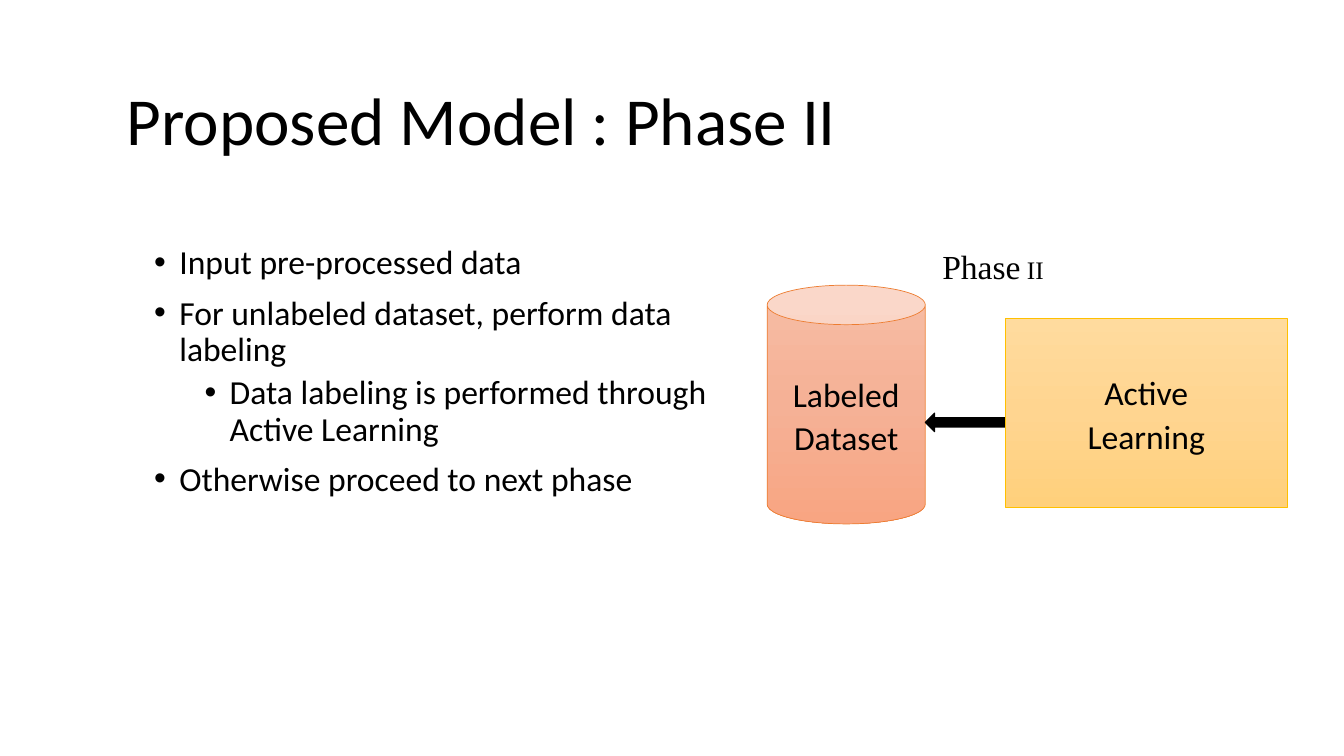
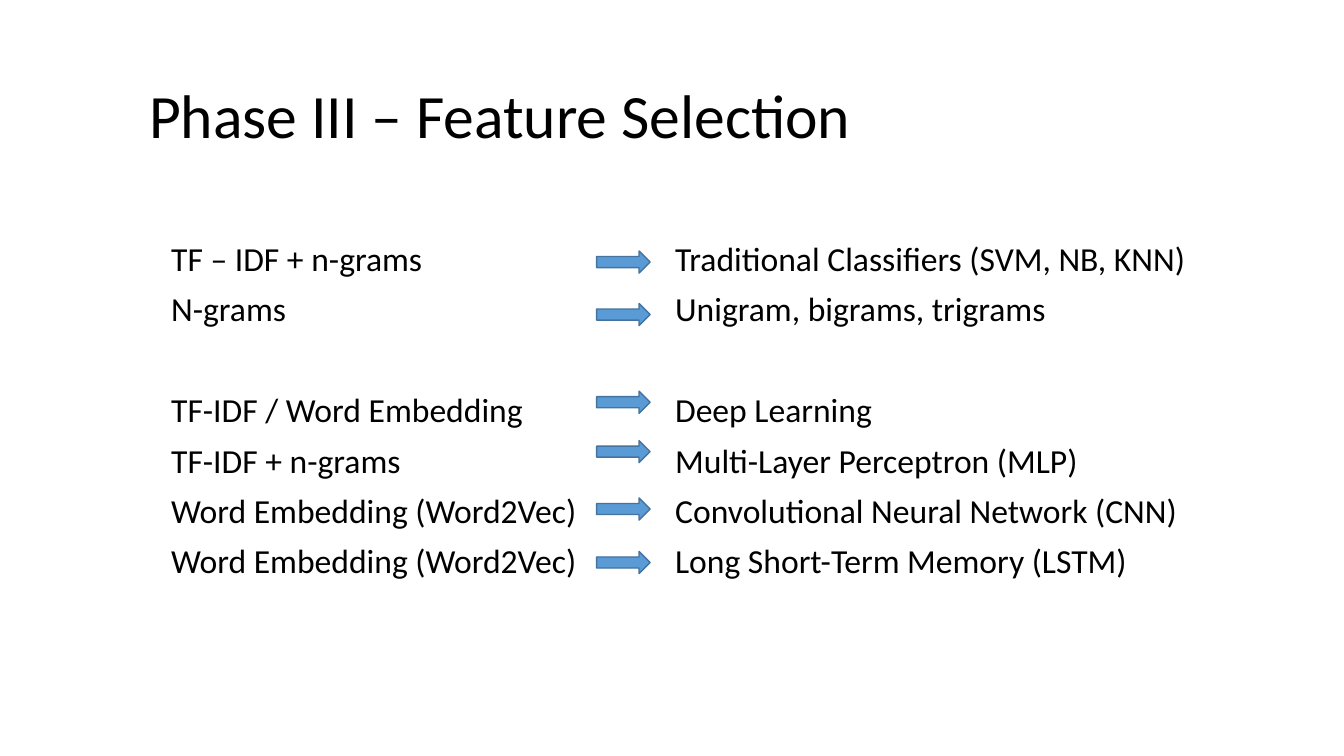
from copy import deepcopy

from lxml import etree
from pptx import Presentation
from pptx.dml.color import RGBColor
from pptx.enum.shapes import MSO_SHAPE
from pptx.enum.text import MSO_ANCHOR, PP_ALIGN
from pptx.oxml.ns import qn
from pptx.util import Pt

CAN, RECTANGLE = MSO_SHAPE.CAN, MSO_SHAPE.RECTANGLE
LEFT_ARROW, RIGHT_ARROW = MSO_SHAPE.LEFT_ARROW, MSO_SHAPE.RIGHT_ARROW
TOP, MIDDLE = MSO_ANCHOR.TOP, MSO_ANCHOR.MIDDLE
CENTER = PP_ALIGN.CENTER

BLACK = "000000"
BLUE, BLUE_EDGE = "5B9BD5", "43739E"
ORANGE_FADE, ORANGE_EDGE = ("F7BDA5", "F5B196", "F8A582"), "ED7D31"
GOLD_FADE, GOLD_EDGE = ("FFDB9E", "FFD590", "FFD07C"), "FFC000"

BODY_SIZE = 24
TITLE_FORMAT = {"line_spacing": 0.9}
BODY_FORMAT = {"line_spacing": 0.9, "space_before": Pt(10)}
SUB_FORMAT = {"line_spacing": 0.9, "space_before": Pt(5)}
GROUP_FORMAT = {"line_spacing": 0.9, "space_before": Pt(46.4)}
NODE_FORMAT = {"line_spacing": 1.07, "space_after": Pt(8), "alignment": CENTER}

BULLETS = [
    (0, "Input pre-processed data"),
    (0, "For unlabeled dataset, perform data labeling"),
    (1, "Data labeling is performed through Active Learning"),
    (0, "Otherwise proceed to next phase"),
]

# Feature, model, top of the arrow within the list, paragraph format
FEATURES = [
    ("TF – IDF + n-grams", "Traditional Classifiers (SVM, NB, KNN)", 9.7, BODY_FORMAT),
    ("N-grams", "Unigram, bigrams, trigrams", 47.2, BODY_FORMAT),
    ("TF-IDF / Word Embedding", "Deep Learning", 109.8, GROUP_FORMAT),
    ("TF-IDF + n-grams", "Multi-Layer Perceptron (MLP)", 145.1, BODY_FORMAT),
    ("Word Embedding (Word2Vec)", "Convolutional Neural Network (CNN)", 186.1, BODY_FORMAT),
    ("Word Embedding (Word2Vec)", "Long Short-Term Memory (LSTM)", 224.3, BODY_FORMAT),
]


def rgb(value):
    return RGBColor.from_string(value)


def apply(target, values):
    for name, value in values.items():
        setattr(target, name, value)


def style_font(span, size=BODY_SIZE, name="Calibri"):
    apply(span.font, {"size": Pt(size), "name": name})
    span.font.color.rgb = rgb(BLACK)


def add_text_box(page, left, top, width, height, wrap=True, anchor=TOP):
    box = page.shapes.add_textbox(Pt(left), Pt(top), Pt(width), Pt(height))
    apply(box.text_frame, {"word_wrap": wrap, "vertical_anchor": anchor})
    return box.text_frame


def write_para(para, text, values, size=BODY_SIZE):
    para.text = text
    apply(para, values)
    for span in para.runs:
        style_font(span, size)


def write_list(frame, entries):
    """Write (text, paragraph format) entries and return the paragraphs."""
    paras = []
    for index, (text, values) in enumerate(entries):
        para = frame.add_paragraph() if index else frame.paragraphs[0]
        write_para(para, text, values)
        paras.append(para)
    return paras


def add_bullet(para, margin, hanging=18):
    props = para._p.get_or_add_pPr()
    props.set("marL", str(Pt(margin)))
    props.set("indent", str(Pt(-hanging)))
    etree.SubElement(props, qn("a:buFont"), typeface="Arial")
    etree.SubElement(props, qn("a:buChar"), char="•")


def add_tab_stop(para, position):
    stops = etree.SubElement(para._p.get_or_add_pPr(), qn("a:tabLst"))
    etree.SubElement(stops, qn("a:tab"), pos=str(Pt(position)), algn="l")


def fade_down(shape, colours):
    """Fill a shape with a three-stop gradient from top to bottom."""
    shape.fill.gradient()
    shape.fill.gradient_angle = 270
    first = shape._element.spPr.find(".//" + qn("a:gs"))
    first.addnext(deepcopy(first))
    for index, (stop, colour) in enumerate(zip(shape.fill.gradient_stops, colours)):
        stop.position = index / 2
        stop.color.rgb = rgb(colour)


def add_outlined(page, kind, left, top, width, height, edge, edge_width):
    shape = page.shapes.add_shape(kind, Pt(left), Pt(top), Pt(width), Pt(height))
    shape.shadow.inherit = False
    shape.line.color.rgb = rgb(edge)
    shape.line.width = Pt(edge_width)
    return shape


def add_arrow(page, kind, left, top, width, height, colour, edge):
    arrow = add_outlined(page, kind, left, top, width, height, edge, 1)
    arrow.fill.solid()
    arrow.fill.fore_color.rgb = rgb(colour)


def add_node(page, kind, left, top, width, height, text, fade, edge):
    node = add_outlined(page, kind, left, top, width, height, edge, 0.5)
    fade_down(node, fade)
    apply(node.text_frame, {"word_wrap": True, "vertical_anchor": MIDDLE})
    write_para(node.text_frame.paragraphs[0], text, NODE_FORMAT)


def add_title(page, left, top, text, size):
    frame = add_text_box(page, left, top, 828, 104.4, anchor=MIDDLE)
    write_para(frame.paragraphs[0], text, TITLE_FORMAT, size)


def add_bullets(page, left, top, width, height):
    frame = add_text_box(page, left, top, width, height)
    entries = [(text, SUB_FORMAT if level else BODY_FORMAT) for level, text in BULLETS]
    for para, (level, _) in zip(write_list(frame, entries), BULLETS):
        para.level = level
        add_bullet(para, 18 + 36 * level)


def add_phase_diagram(page, left, top):
    caption = add_text_box(page, left + 118, top, 91.4, 39.6, wrap=False)
    for text, size in (("Phase", 24), (" II", 18)):
        span = caption.paragraphs[0].add_run()
        span.text = text
        style_font(span, size, "Times New Roman")
    add_node(page, CAN, left, top + 31.6, 113, 170.6,
             "Labeled\nDataset", ORANGE_FADE, ORANGE_EDGE)
    add_arrow(page, LEFT_ARROW, left + 113, top + 123.1, 57, 13, BLACK, BLACK)
    add_node(page, RECTANGLE, left + 170, top + 55.4, 201.6, 134.6,
             "Active\nLearning", GOLD_FADE, GOLD_EDGE)


def add_feature_map(page, left, top, width, height):
    frame = add_text_box(page, left, top, width, height)
    entries = [(f"{feature}\t{model}", values) for feature, model, _, values in FEATURES]
    for para in write_list(frame, entries):
        add_tab_stop(para, 360)
    for _, _, arrow_top, _ in FEATURES:
        add_arrow(page, RIGHT_ARROW, left + 311, top + arrow_top, 38.2, 15.8,
                  BLUE, BLUE_EDGE)


def build_phase_two(page):
    add_title(page, 83.5, 36, "Proposed Model : Phase II", 48)
    add_phase_diagram(page, 548, 172.1)
    add_bullets(page, 103, 172.1, 459.4, 224.6)


def build_phase_three(page):
    add_title(page, 99.4, 32.4, "Phase III – Feature Selection", 44)
    add_feature_map(page, 115.2, 169.6, 799.2, 334.4)


def main():
    deck = Presentation()
    apply(deck, {"slide_width": Pt(960), "slide_height": Pt(540)})
    for build in (build_phase_two, build_phase_three):
        build(deck.slides.add_slide(deck.slide_layouts[6]))
    deck.save("out.pptx")


if __name__ == "__main__":
    main()
